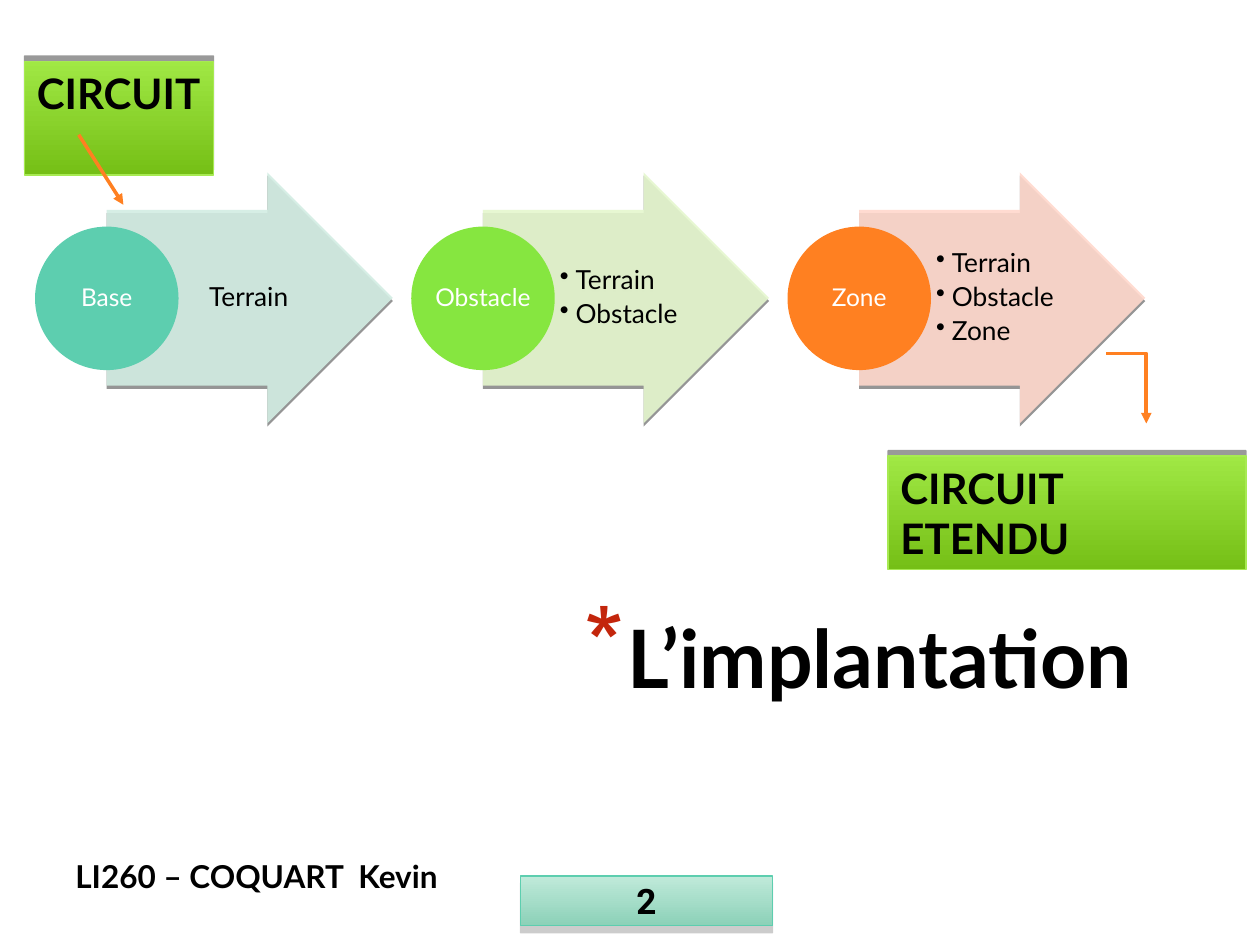
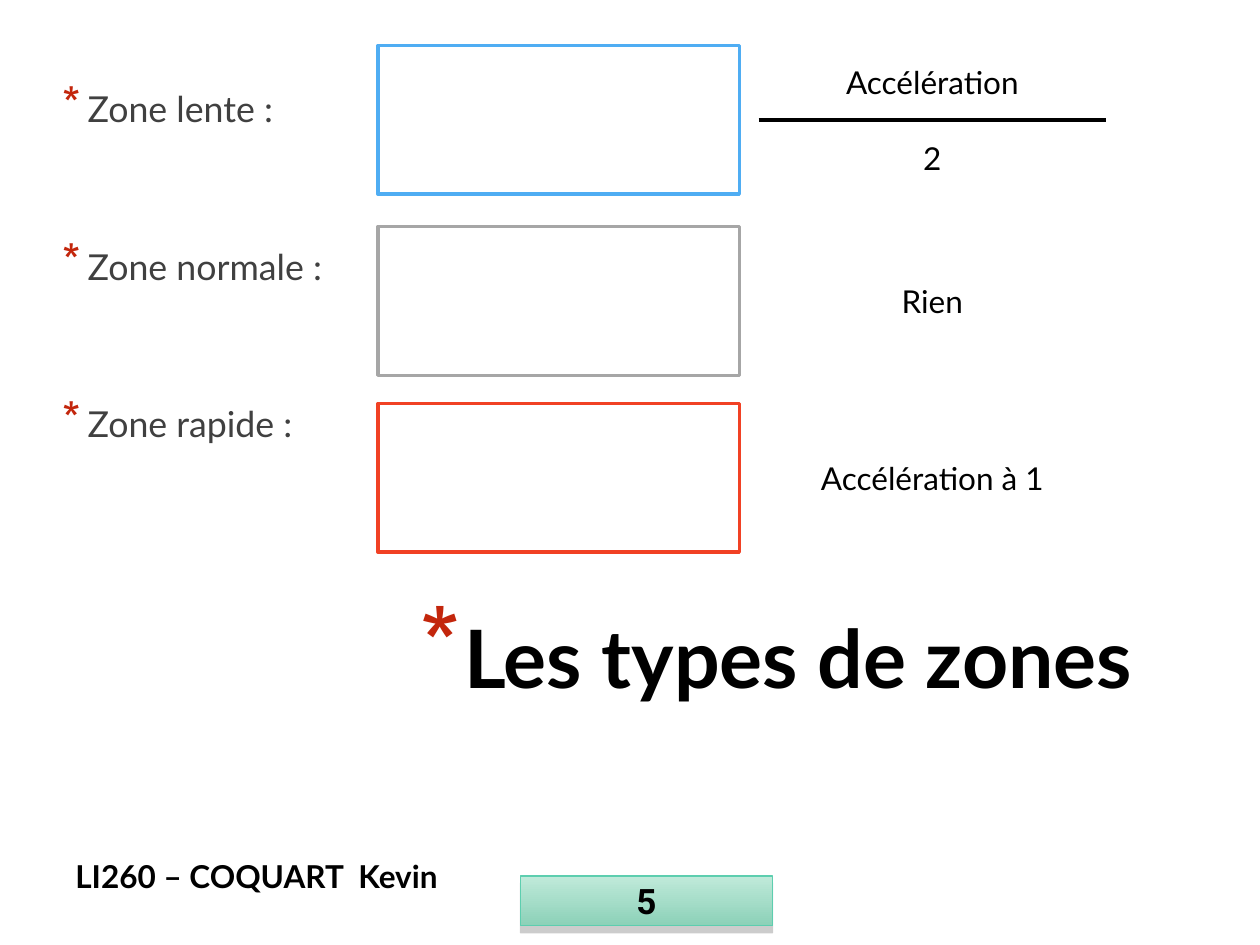
from dataclasses import dataclass
from lxml import etree
from pptx import Presentation
from pptx import util as u
from pptx.dml import color as dml
from pptx.enum import shapes, text
from pptx.oxml import ns

Pt = u.Pt
KIND = shapes.MSO_SHAPE
LINK = shapes.MSO_CONNECTOR
ALIGN = text.PP_ALIGN
ANCHOR = text.MSO_ANCHOR


@dataclass(frozen=True)
class Theme:
    font: str = "Lato"
    digit: str = "Roboto"
    black: str = "000000"
    white: str = "FFFFFF"
    grey: str = "404040"
    red: str = "C3260C"
    teal: str = "5DCEAF"
    green: str = "86E640"
    orange: str = "FF8021"
    lime: str = "A7EA52"
    limes: tuple = ("A0E844", "75BF16")
    mints: tuple = ("C0EADA", "8CD1B8")
    title: float = 46
    label: float = 24
    number: float = 20
    item: float = 20.4
    note: float = 18
    word: float = 15
    disc: float = 14


def rgb(code):
    return dml.RGBColor.from_string(code)


def add(node, tag, **attrs):
    return etree.SubElement(node, ns.qn(tag), {k: str(v) for k, v in attrs.items()})


def apply(obj, form):
    for key, value in form.items():
        setattr(obj, key, value)


class Deck:
    def __init__(self, theme):
        self.theme = theme
        self.prs = Presentation()
        apply(self.prs, {"slide_width": Pt(720), "slide_height": Pt(540)})
        self.slide = None

    def start(self, title, number):
        t = self.theme
        layout = self.prs.slide_layouts.get_by_name("Title Only")
        self.slide = self.prs.slides.add_slide(layout)
        head = self.slide.shapes.title
        apply(head, {"left": Pt(141), "top": Pt(344), "width": Pt(513), "height": Pt(90)})
        head.text_frame.auto_size = text.MSO_AUTO_SIZE.NONE
        self.fill_text(head, [title], t.title, bold=True, align=ALIGN.RIGHT,
                       anchor=ANCHOR.TOP, bullet=("*", t.red, 128, 25, 25))
        self.label((36, 486, 264, 29), ["LI260 – COQUART  Kevin"], bold=True, align=ALIGN.LEFT)
        plate = self.shape(KIND.RECTANGLE, (297.5, 500.5, 144, 28.5), t.mints,
                           line=(t.teal, 0.75), shadow=(20, 4, 90))
        self.fill_text(plate, [number], t.number, bold=True, font=t.digit)

    def fill_text(self, shape, lines, size, color=None, bold=False, align=ALIGN.CENTER,
                  anchor=ANCHOR.MIDDLE, font=None, inset=None, bullet=None, **spacing):
        t = self.theme
        frame = shape.text_frame
        apply(frame, {"word_wrap": True, "vertical_anchor": anchor})
        if inset:
            sides = ("margin_left", "margin_top", "margin_right", "margin_bottom")
            apply(frame, dict(zip(sides, map(Pt, inset))))
        for i, line in enumerate(lines):
            par = frame.add_paragraph() if i else frame.paragraphs[0]
            apply(par, {"alignment": align, **spacing})
            run = par.add_run()
            run.text = line
            apply(run.font, {"name": font or t.font, "size": Pt(size), "bold": bold})
            run.font.color.rgb = rgb(color or t.black)
            if bullet:
                self.mark(par, *bullet)

    def mark(self, par, char, color, scale, left, hang):
        props = par._p.get_or_add_pPr()
        props.set("marL", str(Pt(left)))
        props.set("indent", str(-Pt(hang)))
        add(add(props, "a:buClr"), "a:srgbClr", val=color)
        add(props, "a:buSzPct", val=scale * 1000)
        add(props, "a:buChar", char=char)

    def shape(self, kind, box, fill=None, line=None, shadow=None, alpha=None):
        item = self.slide.shapes.add_shape(kind, *map(Pt, box))
        item.shadow.inherit = False
        if fill is None:
            item.fill.background()
        elif isinstance(fill, tuple):
            item.fill.gradient()
            item.fill.gradient_angle = 270
            for stop, code in zip(item.fill.gradient_stops, fill):
                stop.color.rgb = rgb(code)
        else:
            item.fill.solid()
            item.fill.fore_color.rgb = rgb(fill)
        props = item._element.spPr
        if alpha:
            add(props.find(".//" + ns.qn("a:srgbClr")), "a:alpha", val=alpha * 1000)
        if line:
            self.stroke(item, *line)
        else:
            item.line.fill.background()
        if shadow:
            dark, dist, angle = shadow
            cast = add(props.find(ns.qn("a:effectLst")), "a:outerShdw", blurRad=0,
                       dist=Pt(dist), dir=angle * 60000, algn="ctr", rotWithShape=0)
            tint = add(cast, "a:srgbClr", val=self.theme.black)
            add(tint, "a:alpha", val=dark * 1000)
        return item

    def stroke(self, item, color, width):
        item.line.color.rgb = rgb(color)
        item.line.width = Pt(width)

    def label(self, box, lines, **form):
        item = self.slide.shapes.add_textbox(*map(Pt, box))
        self.fill_text(item, lines, **{"size": self.theme.note, **form})

    def link(self, ends, color, bent=False, arrow=True):
        kind = LINK.ELBOW if bent else LINK.STRAIGHT
        item = self.slide.shapes.add_connector(kind, *map(Pt, ends))
        self.stroke(item, color, 2)
        props = item._element.spPr
        if bent:
            props.find(ns.qn("a:prstGeom")).set("prst", "bentConnector2")
        if arrow:
            add(props.find(ns.qn("a:ln")), "a:tailEnd", type="triangle")
        add(props, "a:effectLst")

    def sign(self, box, name):
        t = self.theme
        item = self.shape(KIND.RECTANGLE, box, t.limes, (t.lime, 0.75), (40, 3, 270))
        self.fill_text(item, [name], t.label, bold=True, align=ALIGN.LEFT, anchor=ANCHOR.TOP)

    def stage(self, left, name, words, color, pale):
        t = self.theme
        arrow = self.shape(KIND.RIGHT_ARROW, (left + 41, 98.5, 163.5, 143.5), pale,
                           shadow=(45, 1.8, 90), alpha=90)
        arrow.adjustments[0] = 0.7
        arrow.adjustments[1] = 0.5
        many = len(words) > 1
        self.fill_text(arrow, words, t.word, line_spacing=0.9,
                       align=ALIGN.LEFT if many else ALIGN.CENTER,
                       space_after=Pt(3 if many else 6),
                       inset=(44 if many else 49, 0, 0, 0),
                       bullet=("•", t.black, 100, 9, 9) if many else None)
        disc = self.shape(KIND.OVAL, (left, 129.5, 82, 82), color)
        self.fill_text(disc, [name], t.disc, t.white, inset=(0, 0, 0, 0),
                       line_spacing=0.9, space_after=Pt(6))


def layout(deck):
    t = deck.theme
    deck.start("L’implantation", "2")
    names = ["Terrain", "Obstacle", "Zone"]
    stages = [("Base", t.teal, "D2EDE3"), ("Obstacle", t.green, "E5F7CE"),
              ("Zone", t.orange, "FFD8CC")]
    for i, (name, color, pale) in enumerate(stages):
        deck.stage(20 + 215 * i, name, names[:i + 1], color, pale)
    deck.sign((14, 35, 108, 65), "CIRCUIT")
    deck.sign((507.5, 260.5, 204.5, 65), "CIRCUIT ETENDU")
    deck.link((632, 202, 655, 242), t.orange, bent=True)
    deck.link((45, 77, 70.5, 117), t.orange)


def zones(deck):
    t = deck.theme
    deck.start("Les types de zones", "5")
    names = [f"Zone {pace} :" for pace in ("lente", "normale", "rapide")]
    deck.label((25, 49, 190, 244), names, size=t.item, color=t.grey, align=ALIGN.LEFT,
               anchor=ANCHOR.TOP, bullet=("*", t.red, 130, 18, 14.4),
               line_spacing=0.9, space_after=Pt(68))
    rows = [(26, "4FADF3", ["Accélération", "2"]), (129.5, "A6A6A6", ["Rien"]),
            (230.5, "F14124", ["Accélération à 1"])]
    for top, color, lines in rows:
        deck.shape(KIND.RECTANGLE, (216, top, 206.5, 85), line=(color, 2))
        gap = {"space_after": Pt(21.6)} if len(lines) > 1 else {}
        deck.label((433.5, top, 198.5, 85), lines, **gap)
    deck.link((433.5, 68.5, 632, 68.5), t.black, arrow=False)


def main():
    deck = Deck(Theme())
    layout(deck)
    zones(deck)
    deck.prs.save("out.pptx")


if __name__ == "__main__":
    main()
